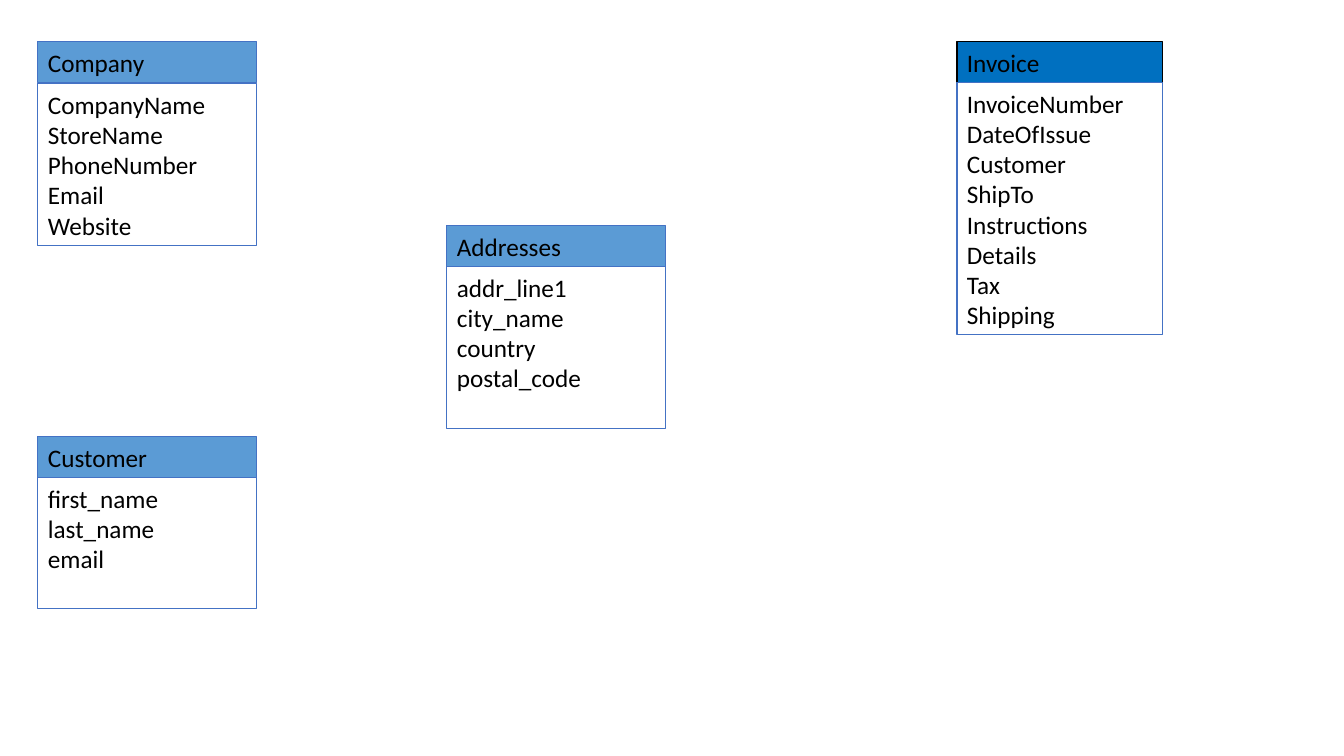
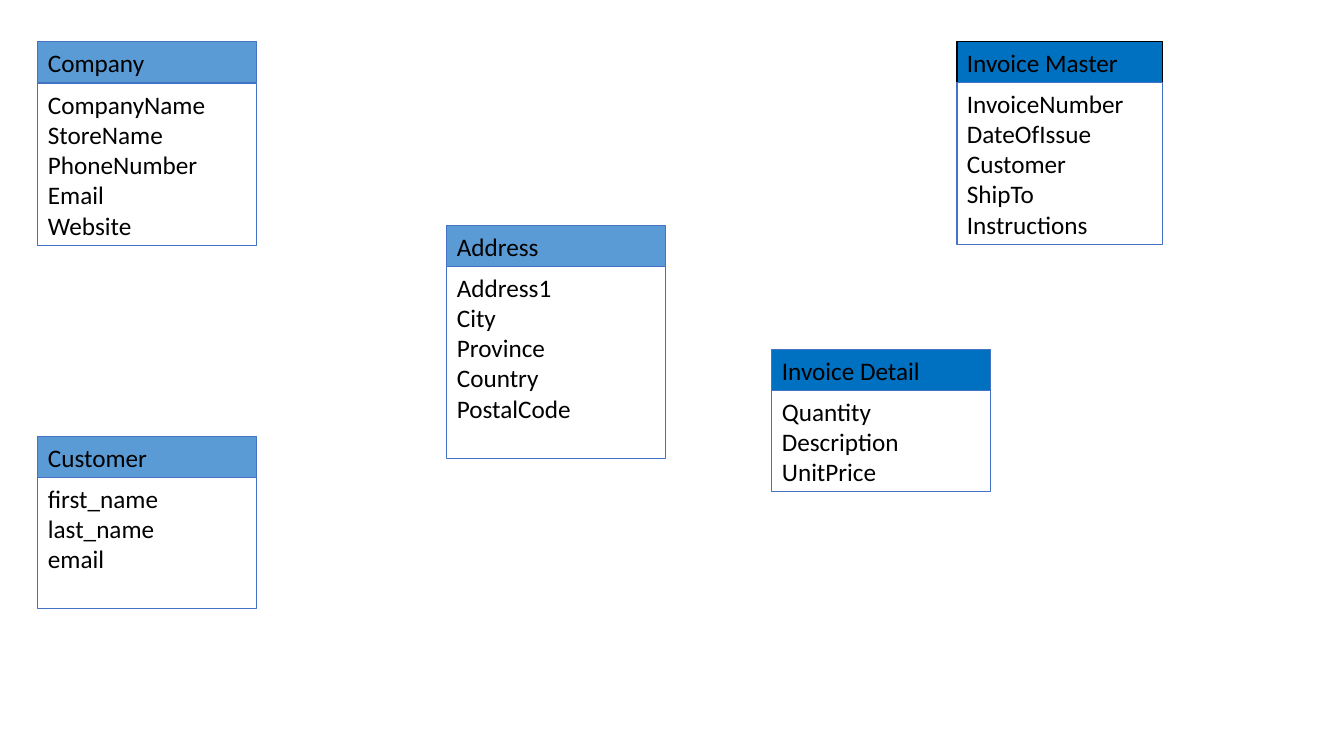
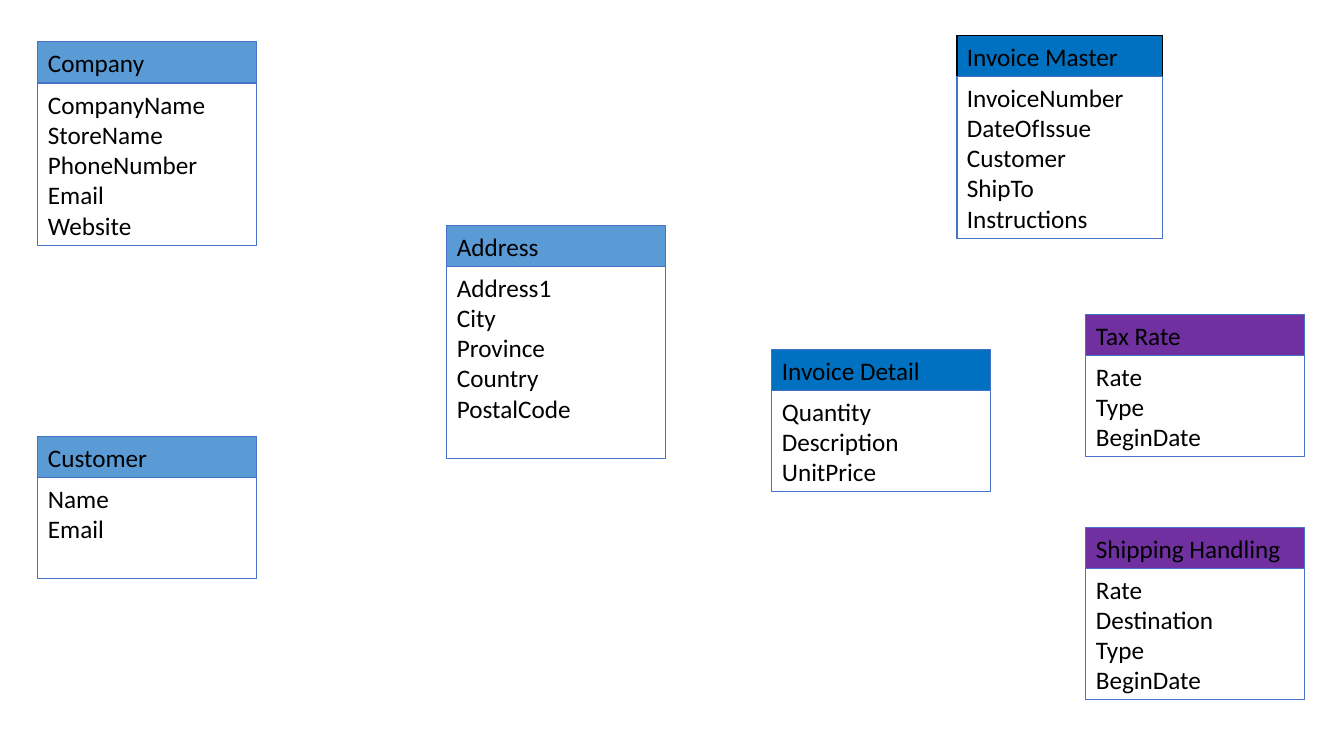
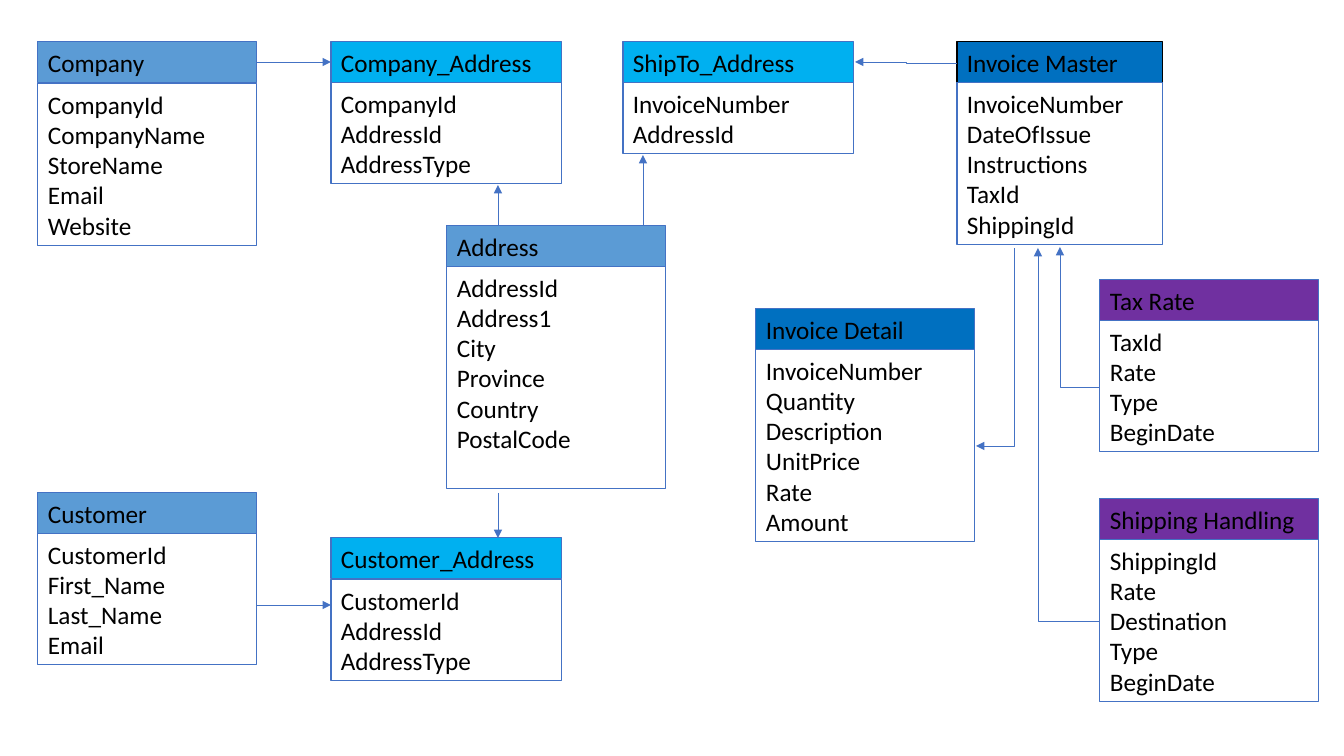
import pptx
import pptx.dml.color
import pptx.enum.shapes
import pptx.enum.text
import pptx.oxml
import pptx.oxml.ns
import pptx.util

SCALE = 914400 / 100.8
BLUE, DEEP_BLUE, SKY, PURPLE = "5B9BD5", "0070C0", "00B0F0", "7030A0"
OUTLINE, BLACK = "4472C4", "000000"
WIDE, NARROW, LINKING = 219, 206, 231


def px(length):
    """Turn picture pixels into EMU."""
    return pptx.util.Emu(round(length * SCALE))


def colour(code):
    """Turn a hex string into a colour."""
    return pptx.dml.color.RGBColor.from_string(code)


def write(frame, text, size=18, font="Calibri", ink=BLACK):
    """Write each line of the text as a left-aligned paragraph."""
    for index, line in enumerate(text.split("\n")):
        para = frame.add_paragraph() if index else frame.paragraphs[0]
        para.alignment = pptx.enum.text.PP_ALIGN.LEFT
        span = para.add_run()
        span.text = line
        span.font.size = pptx.util.Pt(size)
        span.font.name = font
        span.font.color.rgb = colour(ink)


class Diagram:
    """Holds the deck, the current page and the style of its entities."""

    def __init__(self):
        """Start an empty widescreen deck."""
        self.deck = pptx.Presentation()
        self.deck.slide_width, self.deck.slide_height = px(1344), px(756)
        self.page = None

    def new_page(self):
        """Add a blank page and make it current."""
        self.page = self.deck.slides.add_slide(self.deck.slide_layouts[6])

    def cell(self, group, left, top, width, text, fill=None, line=OUTLINE, spare=0):
        """Add one outlined box whose height follows its number of lines."""
        height = 10 + 30.24 * (text.count("\n") + 1 + spare)
        box = group.shapes.add_shape(
            pptx.enum.shapes.MSO_SHAPE.RECTANGLE, px(left), px(top), px(width), px(height))
        box.shadow.inherit = False
        if fill:
            box.fill.solid()
            box.fill.fore_color.rgb = colour(fill)
        else:
            box.fill.background()
        box.line.color.rgb = colour(line)
        box.line.width = pptx.util.Pt(0.75)
        frame = box.text_frame
        frame.word_wrap = True
        frame.vertical_anchor = pptx.enum.text.MSO_ANCHOR.TOP
        fit = pptx.enum.text.MSO_AUTO_SIZE
        frame.auto_size = fit.NONE if spare else fit.SHAPE_TO_FIT_TEXT
        write(frame, text)

    def entity(self, name, left, top, fields, fill=BLUE, width=WIDE,
               line=OUTLINE, spare=0, drop=41):
        """Add a grouped entity: a coloured name above its fields."""
        group = self.page.shapes.add_group_shape()
        self.cell(group, left, top, width, name, fill=fill, line=line)
        self.cell(group, left, top + drop, width, "\n".join(fields.split()), spare=spare)

    def arrow(self, start, end, preset="line", arrowhead="tailEnd"):
        """Add a thin connector with a triangle at one end."""
        kinds = pptx.enum.shapes.MSO_CONNECTOR
        kind = kinds.STRAIGHT if preset == "line" else kinds.ELBOW
        link = self.page.shapes.add_connector(kind, *map(px, start + end))
        link.line.color.rgb = colour(OUTLINE)
        link.line.width = pptx.util.Pt(0.5)
        properties = link._element.spPr
        properties.find(pptx.oxml.ns.qn("a:prstGeom")).set("prst", preset)
        outline = properties.find(pptx.oxml.ns.qn("a:ln"))
        space = pptx.oxml.ns.nsdecls("a")
        outline.append(pptx.oxml.parse_xml(f'<a:{arrowhead} {space} type="triangle"/>'))
        properties.append(pptx.oxml.parse_xml(f"<a:effectLst {space}/>"))

    def company(self, fields="CompanyName StoreName PhoneNumber Email Website"):
        """Add the company entity."""
        self.entity("Company", 38, 42, fields, drop=42)

    def customer(self, fields, top=437, spare=1):
        """Add the customer entity."""
        self.entity("Customer", 38, top, fields, spare=spare)

    def address(self, fields="Address1 City Province Country PostalCode", name="Address"):
        """Add the address entity."""
        self.entity(name, 447, 226, fields, spare=1)

    def invoice(self, fields="InvoiceNumber DateOfIssue Customer ShipTo Instructions",
                name="Invoice Master", top=42):
        """Add the invoice entity with its black header outline."""
        self.entity(name, 957, top, fields, fill=DEEP_BLUE, width=NARROW, line=BLACK)

    def detail(self, left=772, top=350, fields="Quantity Description UnitPrice"):
        """Add the invoice detail entity."""
        self.entity("Invoice Detail", left, top, fields, fill=DEEP_BLUE)

    def charges(self, left, tax_top, shipping_top, tax_key="", shipping_key=""):
        """Add the tax and shipping entities."""
        self.entity("Tax Rate", left, tax_top, f"{tax_key} Rate Type BeginDate", fill=PURPLE)
        self.entity("Shipping Handling", left, shipping_top,
                    f"{shipping_key} Rate Destination Type BeginDate", fill=PURPLE)

    def linking(self, name, left, top, fields, drop=41):
        """Add an entity that ties addresses to another entity."""
        self.entity(name, left, top, fields, fill=SKY, width=LINKING, drop=drop)


diagram = Diagram()

diagram.new_page()
diagram.company()
diagram.customer("first_name last_name email")
diagram.invoice("InvoiceNumber DateOfIssue Customer ShipTo Instructions Details Tax Shipping",
                name="Invoice")
diagram.address("addr_line1 city_name country postal_code", name="Addresses")

diagram.new_page()
diagram.company()
diagram.invoice()
diagram.detail()
diagram.address()
diagram.customer("first_name last_name email")

diagram.new_page()
diagram.company()
diagram.customer("Name Email")
diagram.invoice(top=36)
diagram.detail()
diagram.address()
diagram.charges(1086, 315, 528)

diagram.new_page()
diagram.company("CompanyId CompanyName StoreName Email Website")
diagram.customer("CustomerId First_Name Last_Name Email", top=493, spare=0)
diagram.invoice("InvoiceNumber DateOfIssue Instructions TaxId ShippingId")
diagram.detail(756, 309, "InvoiceNumber Quantity Description UnitPrice Rate Amount")
diagram.address("AddressId Address1 City Province Country PostalCode")
diagram.linking("Company_Address", 331, 42, "CompanyId AddressId AddressType")
diagram.linking("Customer_Address", 331, 538, "CustomerId AddressId AddressType", drop=42)
diagram.linking("ShipTo_Address", 623, 42, "InvoiceNumber AddressId")
diagram.charges(1100, 280, 499, "TaxId", "ShippingId")

for start, end in (
    ((257, 62), (331, 62)),
    ((498, 226), (498, 185)),
    ((257, 605), (331, 605)),
    ((498, 493), (498, 538)),
    ((643, 226), (643, 155)),
):
    diagram.arrow(start, end)
diagram.arrow((957, 63), (855, 62), preset="bentConnector3")
diagram.arrow((976, 446), (1014, 248), preset="bentConnector2", arrowhead="headEnd")
diagram.arrow((1100, 387), (1060, 247), preset="bentConnector2")
diagram.arrow((1100, 621), (1038, 248), preset="bentConnector2")

diagram.deck.save("out.pptx")
